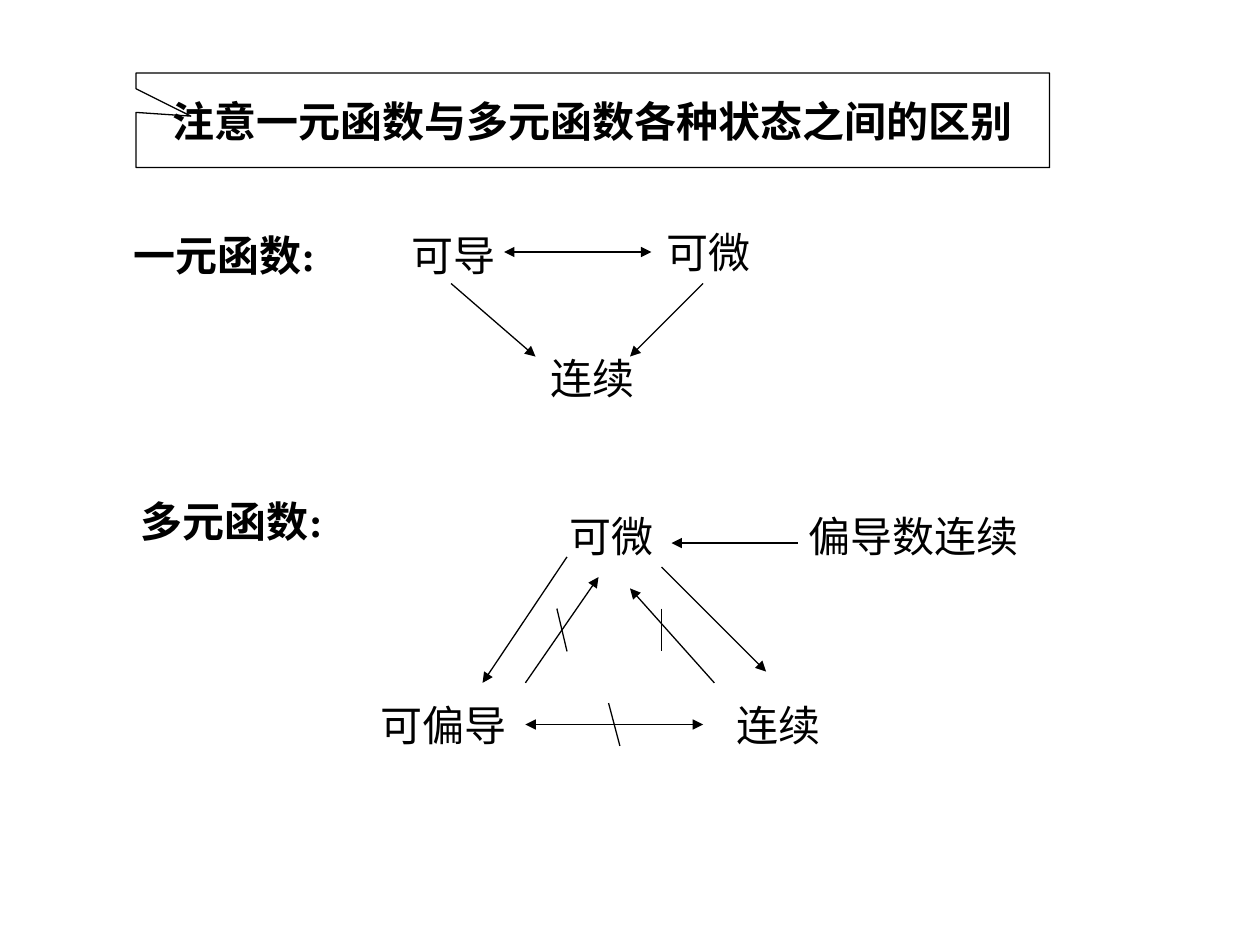
from dataclasses import dataclass

from lxml import etree
from pptx import Presentation
from pptx.dml.color import RGBColor
from pptx.enum import shapes, text
from pptx.oxml import ns
from pptx.util import Inches, Pt


@dataclass(frozen=True)
class Theme:
    ink: RGBColor = RGBColor(0, 0, 0)
    font: str = "Times New Roman"
    size: Pt = Pt(24)
    line: Pt = Pt(0.75)


THEME = Theme()


def style_text(tf, content, bold=False):
    tf.text = content
    tf.word_wrap = False
    font = tf.paragraphs[0].runs[0].font
    font.name, font.size, font.bold = THEME.font, THEME.size, bold
    font.color.rgb = THEME.ink


def style_line(line):
    line.color.rgb = THEME.ink
    line.width = THEME.line


def add_callout(parent, content, left, top, width, height):
    sp = parent.add_shape(shapes.MSO_SHAPE.RECTANGULAR_CALLOUT,
                          *map(Inches, (left, top, width, height)))
    sp.shadow.inherit = False
    sp.fill.background()
    style_line(sp.line)
    sp.adjustments[0], sp.adjustments[1] = -0.44, -0.044
    tf = sp.text_frame
    style_text(tf, content, bold=True)
    tf.vertical_anchor = text.MSO_ANCHOR.MIDDLE
    tf.paragraphs[0].alignment = text.PP_ALIGN.CENTER


def add_label(parent, content, left, top, width=0.88, bold=False):
    sp = parent.add_textbox(*map(Inches, (left, top, width, 0.5)))
    style_text(sp.text_frame, content, bold)
    sp.text_frame.auto_size = text.MSO_AUTO_SIZE.SHAPE_TO_FIT_TEXT


def add_line(parent, start, end, ends=()):
    cxn = parent.add_connector(shapes.MSO_CONNECTOR.STRAIGHT,
                               *map(Inches, (*start, *end)))
    style_line(cxn.line)
    for tag in ends:
        etree.SubElement(cxn.line._get_or_add_ln(), ns.qn(tag), type="triangle")
    etree.SubElement(cxn._element.spPr, ns.qn("a:effectLst"))


def add_arrow(parent, start, end):
    add_line(parent, start, end, ["a:tailEnd"])


def add_double_arrow(parent, start, end):
    add_line(parent, start, end, ["a:headEnd", "a:tailEnd"])


def add_negated(parent, arrow, start, end, slash_start, slash_end):
    group = parent.add_group_shape().shapes
    arrow(group, start, end)
    add_line(group, slash_start, slash_end)


def add_single_variable(parent):
    add_label(parent, "一元函数:", 0.96, 1.77, 1.72, bold=True)
    group = parent.add_group_shape().shapes
    add_label(group, "可导", 3.17, 1.77)
    add_label(group, "可微", 5.19, 1.75)
    add_label(group, "连续", 4.27, 2.75)
    add_double_arrow(parent, (4, 2), (5.17, 2))
    add_arrow(parent, (5.58, 2.25), (5, 2.83))
    add_arrow(parent, (3.58, 2.25), (4.25, 2.83))


def add_multi_variable(parent):
    add_label(parent, "多元函数:", 1.02, 3.88, 1.72, bold=True)
    group = parent.add_group_shape().shapes
    add_label(group, "可偏导", 2.92, 5.5, 1.22)
    add_label(group, "可微", 4.42, 4)
    add_label(group, "连续", 5.75, 5.5)
    add_arrow(parent, (4.5, 4.42), (3.83, 5.42))
    add_arrow(parent, (5.25, 4.5), (6.08, 5.33))
    add_negated(parent, add_arrow, (4.17, 5.42), (4.75, 4.58),
                (4.42, 4.83), (4.5, 5.17))
    add_negated(parent, add_arrow, (5.67, 5.42), (5, 4.67),
                (5.25, 4.83), (5.25, 5.17))
    add_negated(parent, add_double_arrow, (4.17, 5.75), (5.58, 5.75),
                (4.83, 5.58), (4.92, 5.92))
    condition = parent.add_group_shape().shapes
    add_label(condition, "偏导数连续", 6.32, 4, 1.88)
    add_arrow(condition, (6.33, 4.31), (5.33, 4.31))


def main():
    prs = Presentation()
    prs.slide_width, prs.slide_height = Inches(10), Inches(7.5)
    s = prs.slides.add_slide(prs.slide_layouts[6])
    add_callout(s.shapes, "注意一元函数与多元函数各种状态之间的区别",
                1.08, 0.58, 7.25, 0.75)
    add_single_variable(s.shapes)
    add_multi_variable(s.shapes)
    prs.save("out.pptx")


if __name__ == "__main__":
    main()
